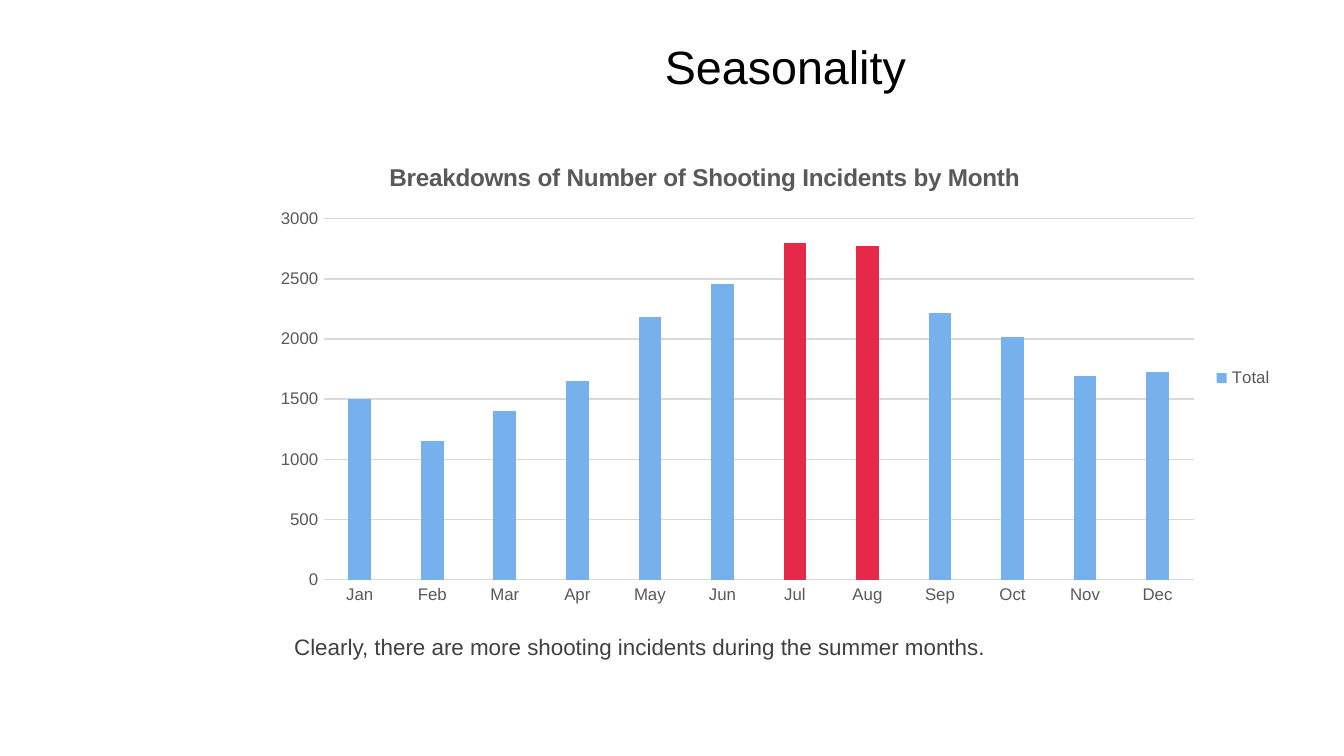
from pptx import Presentation
from pptx.chart.data import CategoryChartData
from pptx.dml.color import RGBColor
from pptx.enum.chart import XL_CHART_TYPE, XL_LEGEND_POSITION, XL_TICK_MARK
from pptx.enum.text import MSO_ANCHOR, PP_ALIGN
from pptx.oxml import parse_xml
from pptx.oxml.ns import nsdecls, qn
from pptx.util import Pt

COLORS = {"title": "000000", "takeaway": "404040", "label": "595959",
          "grid": "D9D9D9", "month": "76B1EE", "peak": "E62949"}


def style_font(font, size, color, bold=False):
    font.name = "Arial"
    font.size = Pt(size)
    font.bold = bold
    font.color.rgb = RGBColor.from_string(COLORS[color])


def place(parent, index, **fractions):
    for old in parent.findall(qn("c:layout")):
        parent.remove(old)
    target = '<c:layoutTarget val="inner"/>' if "w" in fractions else ""
    modes = "".join(f'<c:{key}Mode val="edge"/>' for key in "xy")
    sizes = "".join(f'<c:{key} val="{value}"/>' for key, value in fractions.items())
    parent.insert(index, parse_xml(
        f'<c:layout {nsdecls("c")}><c:manualLayout>{target}{modes}{sizes}'
        '</c:manualLayout></c:layout>'))


prs = Presentation()
prs.slide_width, prs.slide_height = Pt(720), Pt(405)
slide = prs.slides.add_slide(prs.slide_layouts[6])

for text, box, size, color, align, anchor in [
    ("Seasonality", (121.5, 0, 598.5, 70), 25, "title", PP_ALIGN.CENTER, MSO_ANCHOR.MIDDLE),
    ("Clearly, there are more shooting incidents during the summer months.",
     (150.5, 335.5, 521.5, 21.8), 12, "takeaway", PP_ALIGN.LEFT, MSO_ANCHOR.TOP),
]:
    frame = slide.shapes.add_textbox(*map(Pt, box)).text_frame
    frame.word_wrap = True
    frame.vertical_anchor = anchor
    frame.text = text
    paragraph = frame.paragraphs[0]
    paragraph.alignment = align
    style_font(paragraph.runs[0].font, size, color)

incidents = CategoryChartData()
incidents.categories = ["Jan", "Feb", "Mar", "Apr", "May", "Jun",
                        "Jul", "Aug", "Sep", "Oct", "Nov", "Dec"]
incidents.add_series("Total", [1500, 1150, 1400, 1650, 2180, 2460,
                               2800, 2770, 2220, 2020, 1690, 1730])
chart = slide.shapes.add_chart(XL_CHART_TYPE.COLUMN_CLUSTERED, Pt(140.4), Pt(77),
                               Pt(548.6), Pt(251.3), incidents).chart
style_font(chart.font, 10, "title")

chart.has_title = True
heading = chart.chart_title.text_frame.paragraphs[0]
heading.text = "Breakdowns of Number of Shooting Incidents by Month"
style_font(heading.runs[0].font, 13, "label", bold=True)
chart.chart_title.include_in_layout = False
place(chart.chart_title._element, 1, x=0.12, y=0.03)
place(chart.plots[0]._element.getparent(), 0, x=0.06, y=0.16, w=0.85, h=0.77)

chart.has_legend = True
chart.legend.position = XL_LEGEND_POSITION.RIGHT
chart.legend.include_in_layout = False
style_font(chart.legend.font, 9, "label")

months, counts = chart.category_axis, chart.value_axis
for axis in (months, counts):
    axis.major_tick_mark = axis.minor_tick_mark = XL_TICK_MARK.NONE
    style_font(axis.tick_labels.font, 9, "label")
counts.minimum_scale, counts.maximum_scale, counts.major_unit = 0, 3000, 500
counts.format.line.fill.background()
for line in (months.format.line, counts.major_gridlines.format.line):
    line.width = Pt(0.75)
    line.color.rgb = RGBColor.from_string(COLORS["grid"])

columns = chart.plots[0]
columns.gap_width, columns.overlap = 219, -27
columns.vary_by_categories = False
total = columns.series[0]
total.format.fill.solid()
total.format.fill.fore_color.rgb = RGBColor.from_string(COLORS["month"])
for summer in (6, 7):
    fill = total.points[summer].format.fill
    fill.solid()
    fill.fore_color.rgb = RGBColor.from_string(COLORS["peak"])

prs.save("out.pptx")
